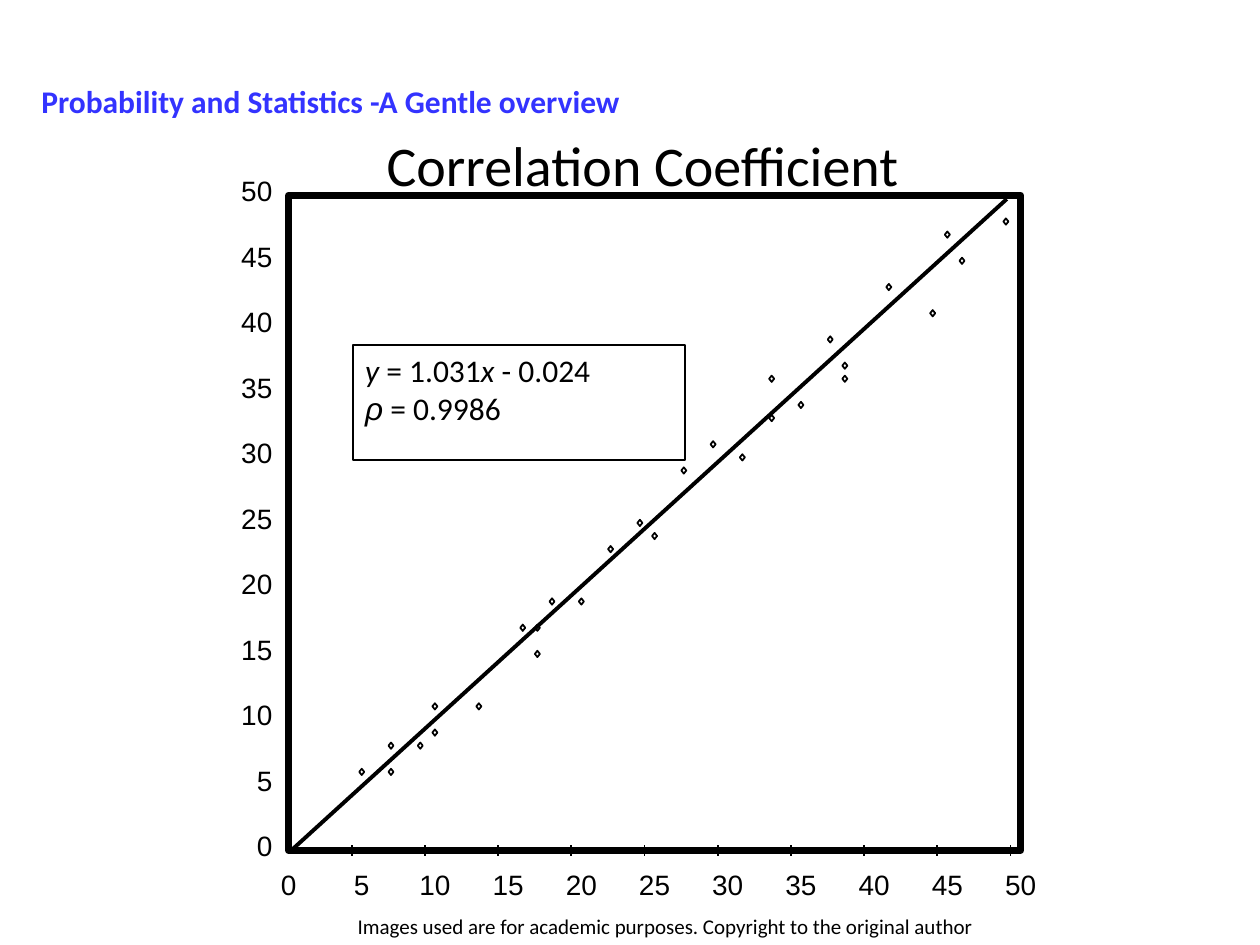
"""Build a slide showing a correlation scatter plot with its fitted line."""
import pptx
import pptx.util
import pptx.dml.color
import pptx.enum.shapes
import pptx.enum.text
from lxml import etree

Inches, Pt = pptx.util.Inches, pptx.util.Pt
SHAPES = pptx.enum.shapes.MSO_SHAPE
ALIGN = pptx.enum.text.PP_ALIGN
ANCHOR = pptx.enum.text.MSO_ANCHOR
FIT = pptx.enum.text.MSO_AUTO_SIZE
BLACK = pptx.dml.color.RGBColor(0x00, 0x00, 0x00)
BLUE = pptx.dml.color.RGBColor(0x33, 0x33, 0xFF)

HEADER = "Probability and Statistics -A Gentle overview"
TITLE = "Correlation Coefficient"
FOOTER = "Images used are for academic purposes. Copyright to the original author"
EQUATION = [
    [("y", "Calibri", True), (" = 1.031", "Calibri", False),
     ("x", "Calibri", True), (" - 0.024", "Calibri", False)],
    [("ρ", "Arial", True), (" = 0.9986", "Calibri", False)],
]
POINTS = [
    (5, 6), (7, 8), (7, 6), (9, 8), (10, 11), (10, 9), (13, 11), (17, 15),
    (16, 17), (18, 19), (17, 17), (20, 19), (22, 23), (25, 24), (24, 25),
    (27, 29), (29, 31), (31, 30), (33, 33), (33, 36), (35, 34), (38, 37),
    (37, 39), (38, 36), (41, 43), (44, 41), (46, 45), (45, 47), (49, 48),
]
AXIS_MAX, AXIS_STEP = 50, 5
PLOT_LEFT, PLOT_TOP, PLOT_WIDTH, PLOT_HEIGHT = 2.29, 1.55, 5.81, 5.2
PLOT_BOTTOM = PLOT_TOP + PLOT_HEIGHT
MARKER_WIDTH, MARKER_HEIGHT = 0.04, 0.05
LABEL_WIDTHS, LABEL_HEIGHT = {1: 0.33, 2: 0.46}, 0.36
LABEL_RIGHT, LABEL_TOP = 2.26, 6.84
TICK_SHIFT, TICK_HALF = 0.08, 0.04


def plot_x(value):
    return PLOT_LEFT + PLOT_WIDTH * value / AXIS_MAX


def plot_y(value):
    return PLOT_BOTTOM - PLOT_HEIGHT * value / AXIS_MAX


def add_text(slide, text, box, size, font="Calibri", color=BLACK, bold=False,
             align=ALIGN.LEFT, anchor=ANCHOR.TOP, spacing=1.0,
             fit=FIT.SHAPE_TO_FIT_TEXT):
    frame = slide.shapes.add_textbox(*map(Inches, box)).text_frame
    frame.word_wrap = False
    frame.auto_size = fit
    frame.vertical_anchor = anchor
    paragraph = frame.paragraphs[0]
    paragraph.text = text
    paragraph.alignment = align
    paragraph.line_spacing = spacing
    paragraph.font.name, paragraph.font.size = font, Pt(size)
    paragraph.font.bold, paragraph.font.color.rgb = bold, color


def add_outline(slide, kind, box, width):
    outline = slide.shapes.add_shape(kind, *map(Inches, box))
    outline.shadow.inherit = False
    outline.fill.background()
    outline.line.color.rgb, outline.line.width = BLACK, Pt(width)
    return outline


def add_line(slide, ends, width):
    line = slide.shapes.add_connector(
        pptx.enum.shapes.MSO_CONNECTOR.STRAIGHT, *map(Inches, ends))
    line.line.color.rgb, line.line.width = BLACK, Pt(width)
    properties = line._element.spPr
    etree.SubElement(properties, pptx.oxml.ns.qn("a:effectLst"))


def add_axes(slide):
    add_outline(slide, SHAPES.RECTANGLE,
                (PLOT_LEFT, PLOT_TOP, PLOT_WIDTH, PLOT_HEIGHT), 4)
    for value in range(0, AXIS_MAX + 1, AXIS_STEP):
        label = str(value)
        width = LABEL_WIDTHS[len(label)]
        add_text(slide, label,
                 (plot_x(value) - width / 2, LABEL_TOP, width, LABEL_HEIGHT),
                 16, "Arial", align=ALIGN.CENTER)
        add_text(slide, label,
                 (LABEL_RIGHT - width, plot_y(value) - 0.22, width, LABEL_HEIGHT),
                 16, "Arial", align=ALIGN.RIGHT)
        if value:
            tick = plot_x(value) - TICK_SHIFT
            add_line(slide, (tick, PLOT_BOTTOM + TICK_HALF,
                             tick, PLOT_BOTTOM - TICK_HALF), 1)


def add_equation(slide):
    frame = add_outline(slide, SHAPES.RECTANGLE, (2.8, 2.74, 2.64, 0.91), 1).text_frame
    frame.word_wrap = True
    frame.vertical_anchor = ANCHOR.TOP
    for index, parts in enumerate(EQUATION):
        paragraph = frame.add_paragraph() if index else frame.paragraphs[0]
        paragraph.alignment = ALIGN.LEFT
        paragraph.font.size = Pt(18)
        for text, font, italic in parts:
            run = paragraph.add_run()
            run.text = text
            run.font.name, run.font.italic = font, italic
            run.font.color.rgb = BLACK


def main():
    deck = pptx.Presentation()
    deck.slide_width, deck.slide_height = Inches(10), Inches(7.5)
    slide = deck.slides.add_slide(deck.slide_layouts[6])
    add_axes(slide)
    for x, y in POINTS:
        add_outline(slide, SHAPES.DIAMOND,
                    (plot_x(x) - MARKER_WIDTH / 2, plot_y(y) - MARKER_HEIGHT / 2,
                     MARKER_WIDTH, MARKER_HEIGHT), 1)
    add_line(slide, (2.3, 6.76, 7.99, 1.58), 2.25)
    add_equation(slide)
    add_text(slide, TITLE, (2.97, 0.84, 4.34, 1), 32,
             anchor=ANCHOR.MIDDLE, spacing=0.9, fit=FIT.NONE)
    add_text(slide, FOOTER, (2.74, 7.2, 5.13, 0.3), 12)
    add_text(slide, HEADER, (0.23, 0.6, 4.9, 0.4), 18, color=BLUE, bold=True)
    deck.save("out.pptx")


if __name__ == "__main__":
    main()
